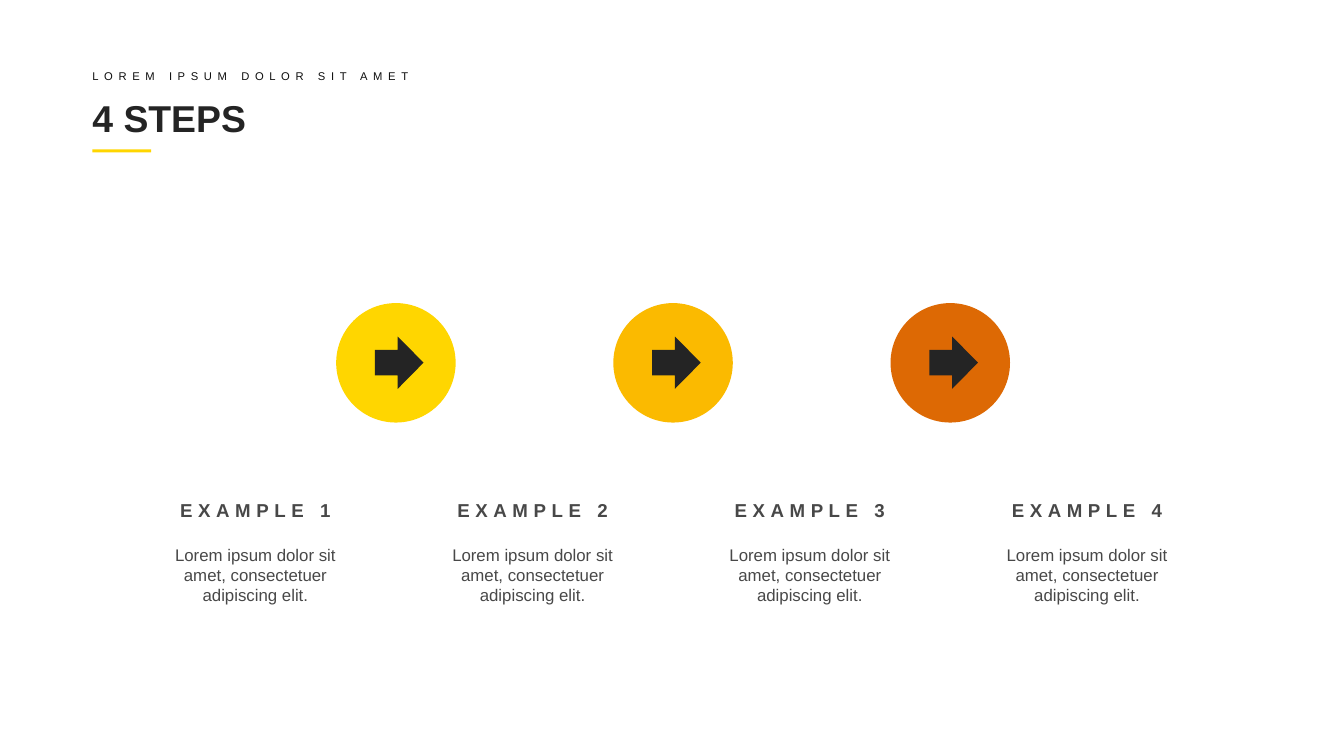
from pptx import Presentation
from pptx.dml.color import RGBColor
from pptx.enum.shapes import MSO_SHAPE
from pptx.enum.text import MSO_ANCHOR, MSO_AUTO_SIZE, PP_ALIGN
from pptx.util import Pt

RECTANGLE, OVAL, ARROW = MSO_SHAPE.RECTANGLE, MSO_SHAPE.OVAL, MSO_SHAPE.RIGHT_ARROW
LEFT, CENTER = PP_ALIGN.LEFT, PP_ALIGN.CENTER
MIDDLE, TOP = MSO_ANCHOR.MIDDLE, MSO_ANCHOR.TOP
GROW, FIXED = MSO_AUTO_SIZE.SHAPE_TO_FIT_TEXT, MSO_AUTO_SIZE.NONE

YELLOW = RGBColor(0xFF, 0xD6, 0x00)
AMBER = RGBColor(0xFB, 0xBA, 0x00)
ORANGE = RGBColor(0xDD, 0x69, 0x04)
DARK = RGBColor(0x24, 0x24, 0x24)
BLACK = RGBColor(0x0E, 0x0E, 0x0E)
GRAY = RGBColor(0x48, 0x48, 0x48)

FONT = "Arial"
STEP_PITCH = 148.5
STEP_TEXT = "Lorem ipsum dolor sit amet, consectetuer adipiscing elit."


def place(item, left, top, width, height):
    item.left, item.top = Pt(left), Pt(top)
    item.width, item.height = Pt(width), Pt(height)


def write(box, text, size, color, bold=False, spacing=0, align=LEFT,
          anchor=MIDDLE, insets=(0, 0), wrap=True, fit=GROW):
    frame = box.text_frame
    frame.text = text
    frame.word_wrap = wrap
    frame.auto_size = fit
    frame.vertical_anchor = anchor
    frame.margin_left = frame.margin_right = Pt(insets[0])
    frame.margin_top = frame.margin_bottom = Pt(insets[1])
    para = frame.paragraphs[0]
    para.alignment = align
    span = para.runs[0]
    span.font.name, span.font.size, span.font.bold = FONT, Pt(size), bold
    span.font.color.rgb = color
    if spacing:
        span._r.get_or_add_rPr().set("spc", str(spacing * 100))


def add_text(page, left, top, width, height, text, size, color, **style):
    box = page.shapes.add_textbox(Pt(left), Pt(top), Pt(width), Pt(height))
    write(box, text, size, color, **style)


def add_solid(page, kind, left, top, width, height, color):
    shape = page.shapes.add_shape(kind, Pt(left), Pt(top), Pt(width), Pt(height))
    shape.shadow.inherit = False
    shape.fill.solid()
    shape.fill.fore_color.rgb = color
    shape.line.fill.background()
    return shape


def add_header(page, left, top, width):
    add_text(page, left, top, width, 7.2, "LOREM IPSUM DOLOR SIT AMET", 6, BLACK, spacing=3)
    title = page.shapes.title
    place(title, left, top + 13, width, 26.6)
    write(title, "4 STEPS", 20, DARK, bold=True, fit=FIXED)
    add_solid(page, RECTANGLE, left, top + 43.1, 31.5, 1.7, YELLOW)


def add_step(page, left, top, width, heading):
    style = {"align": CENTER, "anchor": TOP, "insets": (5, 2.9)}
    add_text(page, left, top, width, 17.3, heading, 10, GRAY,
             bold=True, spacing=3, wrap=False, **style)
    add_text(page, left, top + 24.5, width, 38.2, STEP_TEXT, 9, GRAY, **style)


def add_arrow_badge(page, left, top, size, color):
    add_solid(page, OVAL, left, top, size, size, color)
    arrow = add_solid(page, ARROW, left + 20.8, top + 17.9, 26, 28, DARK)
    arrow.adjustments[0] = 0.49
    arrow.adjustments[1] = 0.53


def main():
    deck = Presentation()
    deck.slide_width, deck.slide_height = Pt(720), Pt(405)
    page = deck.slides.add_slide(deck.slide_layouts[5])
    add_header(page, 49.5, 36.9, 620.6)
    for index in range(4):
        add_step(page, 85.7 + index * STEP_PITCH, 264.2, 102.2, f"EXAMPLE {index + 1}")
    for index, color in enumerate((YELLOW, AMBER, ORANGE)):
        add_arrow_badge(page, 180.1 + index * STEP_PITCH, 162.4, 64, color)
    deck.save("out.pptx")


if __name__ == "__main__":
    main()
